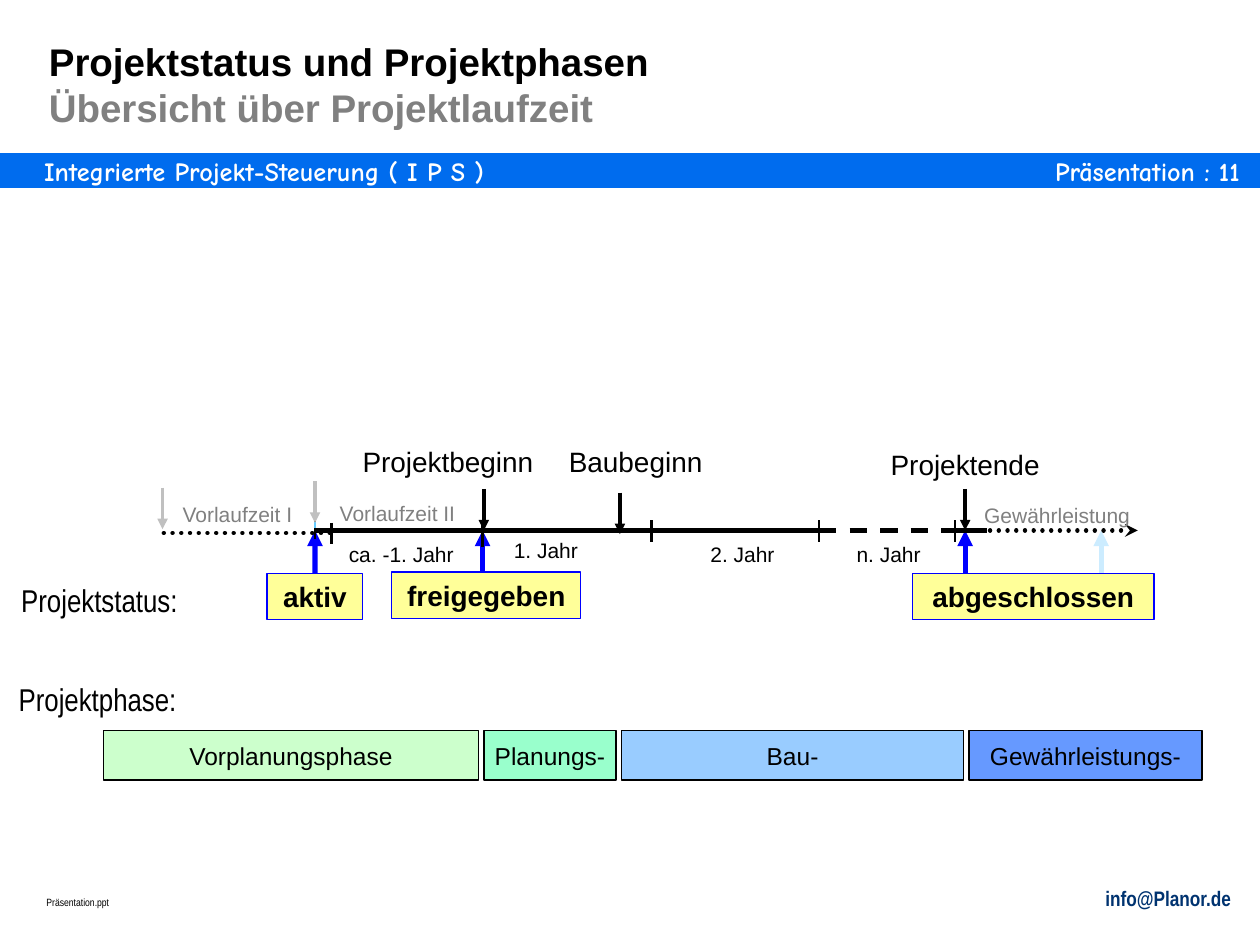
from collections import namedtuple

from lxml.etree import SubElement
from pptx import Presentation
from pptx.dml.color import RGBColor
from pptx.enum.dml import MSO_LINE
from pptx.enum.shapes import MSO_CONNECTOR, MSO_SHAPE
from pptx.enum.text import MSO_ANCHOR, PP_ALIGN
from pptx.oxml.ns import qn
from pptx.util import Inches, Pt

Box = namedtuple("Box", "left top width height")  # inches

BLACK, GREY, SILVER, WHITE = "000000", "808080", "C0C0C0", "FFFFFF"
BAND, BLUE, PALE_BLUE, YELLOW = "006CEE", "0000FF", "CCECFF", "FFFF99"
LEFT, CENTER, RIGHT = PP_ALIGN.LEFT, PP_ALIGN.CENTER, PP_ALIGN.RIGHT


def color(value):
    return RGBColor.from_string(value)


def inside(box, left, top, width, height):
    """Return a box given by its offsets from the corner of another."""
    return Box(box.left + left, box.top + top, width, height)


def write(shape, lines, size, align=LEFT, font="Arial", bold=False,
          wrap=True, margins=(0.1, 0.05), anchor=MSO_ANCHOR.TOP):
    """Fill a shape with one paragraph for each (text, colour) pair."""
    frame = shape.text_frame
    frame.word_wrap = wrap
    frame.vertical_anchor = anchor
    frame.margin_left = frame.margin_right = Inches(margins[0])
    frame.margin_top = frame.margin_bottom = Inches(margins[1])
    for index, (text, hue) in enumerate(lines):
        para = frame.add_paragraph() if index else frame.paragraphs[0]
        para.alignment = align
        span = para.add_run()
        span.text = text
        span.font.size = Pt(size)
        span.font.name = font
        span.font.bold = bold
        span.font.color.rgb = color(hue)


def add_text(page, box, text, size, hue=BLACK, **style):
    label = page.shapes.add_textbox(*map(Inches, box))
    write(label, [(text, hue)], size, **style)


def add_rectangle(page, box, fill, line, weight=0.75):
    shape = page.shapes.add_shape(MSO_SHAPE.RECTANGLE, *map(Inches, box))
    shape.shadow.inherit = False
    shape.fill.solid()
    shape.fill.fore_color.rgb = color(fill)
    shape.line.color.rgb = color(line)
    shape.line.width = Pt(weight)
    return shape


def add_line(page, start, end, hue, weight, dash=None, arrow=None):
    """Draw a line between two points, with an optional arrowhead at its end."""
    line = page.shapes.add_connector(
        MSO_CONNECTOR.STRAIGHT, *map(Inches, (*start, *end)))
    line.line.color.rgb = color(hue)
    line.line.width = Pt(weight)
    if dash:
        line.line.dash_style = dash
    properties = line._element.spPr
    outline = properties.find(qn("a:ln"))
    if dash == MSO_LINE.ROUND_DOT:
        outline.set("cap", "rnd")
    if arrow:
        SubElement(outline, qn("a:tailEnd"), type=arrow)
    SubElement(properties, qn("a:effectLst"))
    return line


def add_header(page, box):
    title = page.shapes.add_textbox(
        *map(Inches, inside(box, 0.29, 0.25, 5.3, 0.84)))
    write(title, [("Projektstatus und Projektphasen", BLACK),
                  ("Übersicht über Projektlaufzeit", GREY)],
          22, bold=True)
    add_rectangle(page, inside(box, 0, 1.23, box.width, 0.25), BAND, BAND, 2)
    for left, width, text, align in (
            (0.35, 7, "Integrierte Projekt-Steuerung ( I P S )", LEFT),
            (7.6, 2.24, "Präsentation : 11", RIGHT)):
        add_text(page, inside(box, left, 1.23, width, 0.25), text, 15, WHITE,
                 align=align, font="Comic Neue", bold=True, margins=(0, 0))


def add_footer(page, box):
    add_text(page, inside(box, 0, 0.08, 4.08, 0.2), "Präsentation.ppt", 6,
             font="Arial Narrow")
    add_text(page, inside(box, box.width - 4.08, 0, 4.08, 0.3),
             "info@Planor.de", 12, "003370", align=RIGHT,
             font="Arial Narrow", bold=True)


def add_timeline(page, box):
    axis = 0.73

    def draw(start, end, *style, **options):
        add_line(page, (box.left + start[0], box.top + start[1]),
                 (box.left + end[0], box.top + end[1]), *style, **options)

    for start, end, y, dash, arrow in (
            (0, 1.32, axis + 0.02, MSO_LINE.ROUND_DOT, None),
            (1.2, 5.2, axis, None, None),
            (5.2, 6.53, axis, MSO_LINE.DASH, None),
            (6.28, 6.44, axis, None, None),
            (6.35, 7.73, axis, MSO_LINE.ROUND_DOT, "stealth")):
        draw((start, y), (end, y), BLACK, 2.5, dash=dash, arrow=arrow)

    for x, y in ((1.2, 0.63), (1.33, 0.67), (2.53, 0.69),
                 (3.87, 0.65), (5.2, 0.65), (6.28, 0.65)):
        draw((x, y), (x, y + 0.17), BLACK, 1.5)

    draw((1.2, 0.38), (1.2, 0.72), "66CCFF", 0.75, dash=MSO_LINE.DASH)
    for x, tip, hue in ((-0.01, 0.72, SILVER), (1.2, 0.67, SILVER),
                        (2.54, axis, BLACK), (3.62, 0.76, BLACK),
                        (6.36, axis, BLACK)):
        draw((x, tip - 0.33), (x, tip), hue, 2, arrow="triangle")

    for text, left, top, width in (("Projektbeginn", 1.34, 0, 1.83),
                                   ("Baubeginn", 2.83, 0, 1.83),
                                   ("Projektende", 5.65, 0.02, 1.42)):
        add_text(page, inside(box, left, top, width, 0.37), text, 16,
                 align=CENTER)
    for text, left, top, width in (("Vorlaufzeit I", 0, 0.45, 1.17),
                                   ("Vorlaufzeit II", 1.27, 0.44, 1.17),
                                   ("Gewährleistung", 5.97, 0.46, 2.24)):
        add_text(page, inside(box, left, top, width, 0.3), text, 12, GREY,
                 align=CENTER)
    for text, left, top in (("ca. -1. Jahr", 1.37, 0.77),
                            ("1. Jahr", 2.68, 0.74),
                            ("2. Jahr", 4.24, 0.77),
                            ("n. Jahr", 5.4, 0.77)):
        add_text(page, inside(box, left, top, 1.2, 0.3), text, 12)


def add_status_row(page, box):
    """Place the status boxes and their arrows up to the time axis."""
    add_text(page, inside(box, 0, 0.35, 1.7, 0.4), "Projektstatus:", 18,
             font="Arial Narrow")
    arrows = {
        x: add_line(page, (box.left + x, box.top + 0.43),
                    (box.left + x, box.top), hue, 3, arrow="triangle")
        for x, hue in ((2.43, BLUE), (3.76, BLUE), (7.59, BLUE),
                       (8.67, PALE_BLUE))}
    for text, left, top, width in (("aktiv", 2.05, 0.34, 0.76),
                                   ("freigegeben", 3.04, 0.33, 1.5),
                                   ("abgeschlossen", 7.17, 0.34, 1.92)):
        status = add_rectangle(page, inside(box, left, top, width, 0.37),
                               YELLOW, BLUE)
        write(status, [(text, BLACK)], 16, align=CENTER, bold=True)
        if text == "aktiv":
            arrows[2.43].begin_connect(status, 0)


def add_phase_row(page, box):
    add_text(page, Box(box.left, box.top, 1.7, 0.4), "Projektphase:", 18,
             font="Arial Narrow")
    gap, left = 0.04, 0.77
    for text, width, fill in (("Vorplanungsphase", 2.98, "CCFFCC"),
                              ("Planungs-", 1.05, "99FFCC"),
                              ("Bau-", 2.72, "99CCFF"),
                              ("Gewährleistungs-", 1.85, "6699FF")):
        phase = add_rectangle(page, inside(box, left, 0.45, width, 0.39),
                              fill, BLACK)
        write(phase, [(text, BLACK)], 14, align=CENTER, wrap=False,
              anchor=MSO_ANCHOR.MIDDLE)
        left += width + gap


def main():
    deck = Presentation()
    deck.slide_width, deck.slide_height = Inches(10), Inches(7.5)
    page = deck.slides.add_slide(deck.slide_layouts[6])
    add_header(page, Box(0, 0, 10, 1.48))
    add_status_row(page, Box(0.07, 4.21, 9.09, 0.75))
    add_timeline(page, Box(1.3, 3.48, 7.73, 1.07))
    add_phase_row(page, Box(0.05, 5.35, 9.49, 0.84))
    add_footer(page, Box(0.27, 6.98, 9.6, 0.3))
    deck.save("out.pptx")


if __name__ == "__main__":
    main()
